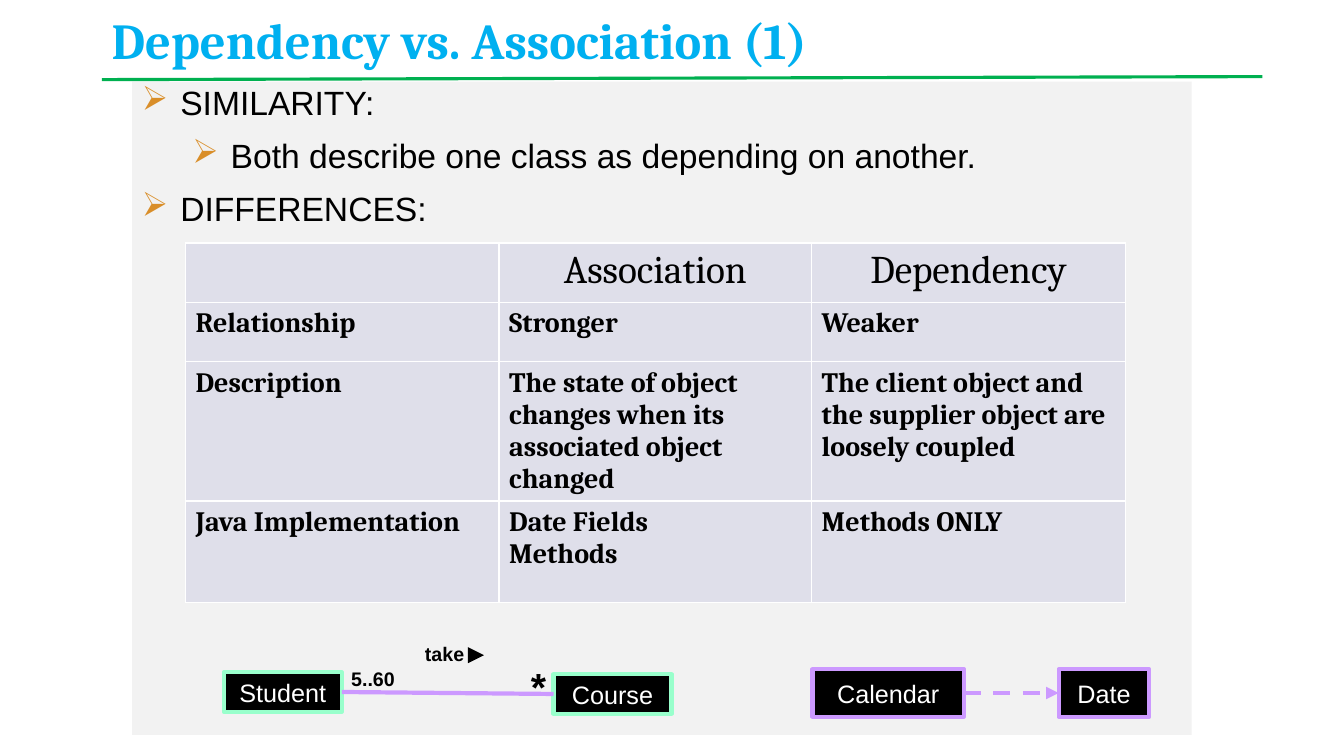
"""Build the slide that compares dependency with association."""
from lxml.etree import SubElement
from pptx import Presentation
from pptx.dml.color import RGBColor
from pptx.enum.dml import MSO_LINE
from pptx.enum.shapes import MSO_CONNECTOR, MSO_SHAPE
from pptx.enum.text import MSO_ANCHOR, PP_ALIGN
from pptx.oxml import parse_xml
from pptx.oxml.ns import nsdecls, qn
from pptx.util import Pt

PX = 9144
THEME = {
    "title": ("Cambria", 36, True, "00B0F0"),
    "body": ("Arial", 24, False, "000000"),
    "head": ("Cambria", 28, False, "000000"),
    "cell": ("Cambria", 20, True, "000000"),
    "class": ("Arial", 18, False, "FFFFFF"),
    "label": ("Arial", 14, True, "000000"),
    "many": ("Arial", 28, True, "000000"),
    "panel": "F2F2F2", "bullet": "D98E29", "grid": "DFDFEA", "edge": "FFFFFF",
    "rule": "00B050", "black": "000000", "violet": "CC99FF", "mint": "99FFCC",
}


def write(para, text, style, align=PP_ALIGN.LEFT):
    """Add one styled run to a paragraph."""
    para.alignment = align
    run = para.add_run()
    run.text = text
    font = run.font
    font.name, size, font.bold, color = THEME[style]
    font.size = Pt(size)
    font.color.rgb = RGBColor.from_string(color)


def draw(kind, left, top, width, height, fill):
    """Add a filled shape without outline or shadow."""
    shape = slide.shapes.add_shape(kind, left * PX, top * PX, width * PX, height * PX)
    shape.shadow.inherit = False
    shape.fill.solid()
    shape.fill.fore_color.rgb = RGBColor.from_string(THEME[fill])
    shape.line.fill.background()
    return shape


deck = Presentation()
deck.slide_width, deck.slide_height = 1333 * PX, 750 * PX
slide = deck.slides.add_slide(deck.slide_layouts[6])

panel = draw(MSO_SHAPE.RECTANGLE, 131, 81, 1051, 648, "panel")
frame = panel.text_frame
frame.word_wrap = True
frame.vertical_anchor = MSO_ANCHOR.TOP
points = [
    (0, "SIMILARITY:"),
    (1, "Both describe one class as depending on another."),
    (0, "DIFFERENCES:"),
]
for row, (level, text) in enumerate(points):
    para = frame.add_paragraph() if row else frame.paragraphs[0]
    para.level = level
    props = para._p.get_or_add_pPr()
    props.set("marL", str((38 + 50 * level) * PX))
    props.set("indent", str(-38 * PX))
    color = SubElement(props, qn("a:buClr"))
    SubElement(color, qn("a:srgbClr"), val=THEME["bullet"])
    SubElement(props, qn("a:buFont"), typeface="Wingdings")
    SubElement(props, qn("a:buChar"), char="Ø")
    para.line_spacing = 0.9
    if row:
        para.space_before = Pt(12)
    write(para, text, "body")

cells = [
    ["", "Association", "Dependency"],
    ["Relationship", "Stronger", "Weaker"],
    ["Description",
     "The state of object changes when its associated object changed",
     "The client object and the supplier object are loosely coupled"],
    ["Java Implementation", "Date Fields\nMethods", "Methods ONLY"],
]
table = slide.shapes.add_table(4, 3, 184 * PX, 241 * PX, 932 * PX, 354 * PX).table
table.first_row = table.horz_banding = False
for col, width in zip(table.columns, (311, 310, 311)):
    col.width = width * PX
for row, height in zip(table.rows, (59, 59, 135, 101)):
    row.height = height * PX
for row, texts in enumerate(cells):
    for col, text in enumerate(texts):
        cell = table.cell(row, col)
        props = cell._tc.get_or_add_tcPr()
        for side in "LRTB":
            props.append(parse_xml(
                f'<a:ln{side} {nsdecls("a")} w="12700"><a:solidFill>'
                f'<a:srgbClr val="{THEME["edge"]}"/></a:solidFill></a:ln{side}>'))
        cell.fill.solid()
        cell.fill.fore_color.rgb = RGBColor.from_string(THEME["grid"])
        style, align = ("cell", PP_ALIGN.LEFT) if row else ("head", PP_ALIGN.CENTER)
        for index, part in enumerate(text.split("\n") if text else []):
            body = cell.text_frame
            para = body.add_paragraph() if index else body.paragraphs[0]
            write(para, part, style, align)

boxes = {}
for name, left, top, width, height, edge in [
    ("Calendar", 806, 664, 150, 47, "violet"),
    ("Date", 1050, 664, 90, 47, "violet"),
    ("Student", 222, 667, 117, 39, "mint"),
    ("Course", 549, 669, 117, 39, "mint"),
]:
    box = draw(MSO_SHAPE.RECTANGLE, left, top, width, height, "black")
    box.line.color.rgb = RGBColor.from_string(THEME[edge])
    box.line.width = Pt(3)
    box.text_frame.vertical_anchor = MSO_ANCHOR.MIDDLE
    write(box.text_frame.paragraphs[0], name, "class", PP_ALIGN.CENTER)
    boxes[name] = box

for start, end, ends, color, weight in [
    ("Calendar", "Date", (956, 688, 1050, 688), "violet", 3),
    ("Student", "Course", (339, 687, 549, 688), "violet", 3),
    (None, None, (101, 79, 1252, 76), "rule", 2.25),
]:
    link = slide.shapes.add_connector(MSO_CONNECTOR.STRAIGHT, *(n * PX for n in ends))
    link.line.color.rgb = RGBColor.from_string(THEME[color])
    link.line.width = Pt(weight)
    if start:
        link.begin_connect(boxes[start], 3)
        link.end_connect(boxes[end], 1)
    if start == "Calendar":
        link.line.dash_style = MSO_LINE.DASH
        SubElement(link.line._get_or_add_ln(), qn("a:tailEnd"), type="triangle")
    SubElement(link._element.spPr, qn("a:effectLst"))

for text, left, top, width, height, style in [
    ("Dependency vs. Association (1)", 101, 11, 980, 63, "title"),
    ("5..60", 331, 657, 78, 33, "label"),
    ("*", 495, 652, 78, 57, "many"),
    ("take", 402, 632, 78, 33, "label"),
]:
    note = slide.shapes.add_textbox(left * PX, top * PX, width * PX, height * PX)
    frame = note.text_frame
    frame.word_wrap = True
    para = frame.paragraphs[0]
    if style == "title":
        frame.vertical_anchor = MSO_ANCHOR.BOTTOM
        para.line_spacing = 0.8
    align = PP_ALIGN.LEFT if style == "title" else PP_ALIGN.CENTER
    write(para, text, style, align)

arrow = draw(MSO_SHAPE.ISOSCELES_TRIANGLE, 464, 642, 16, 16, "black")
arrow.rotation = 90

deck.save("out.pptx")
